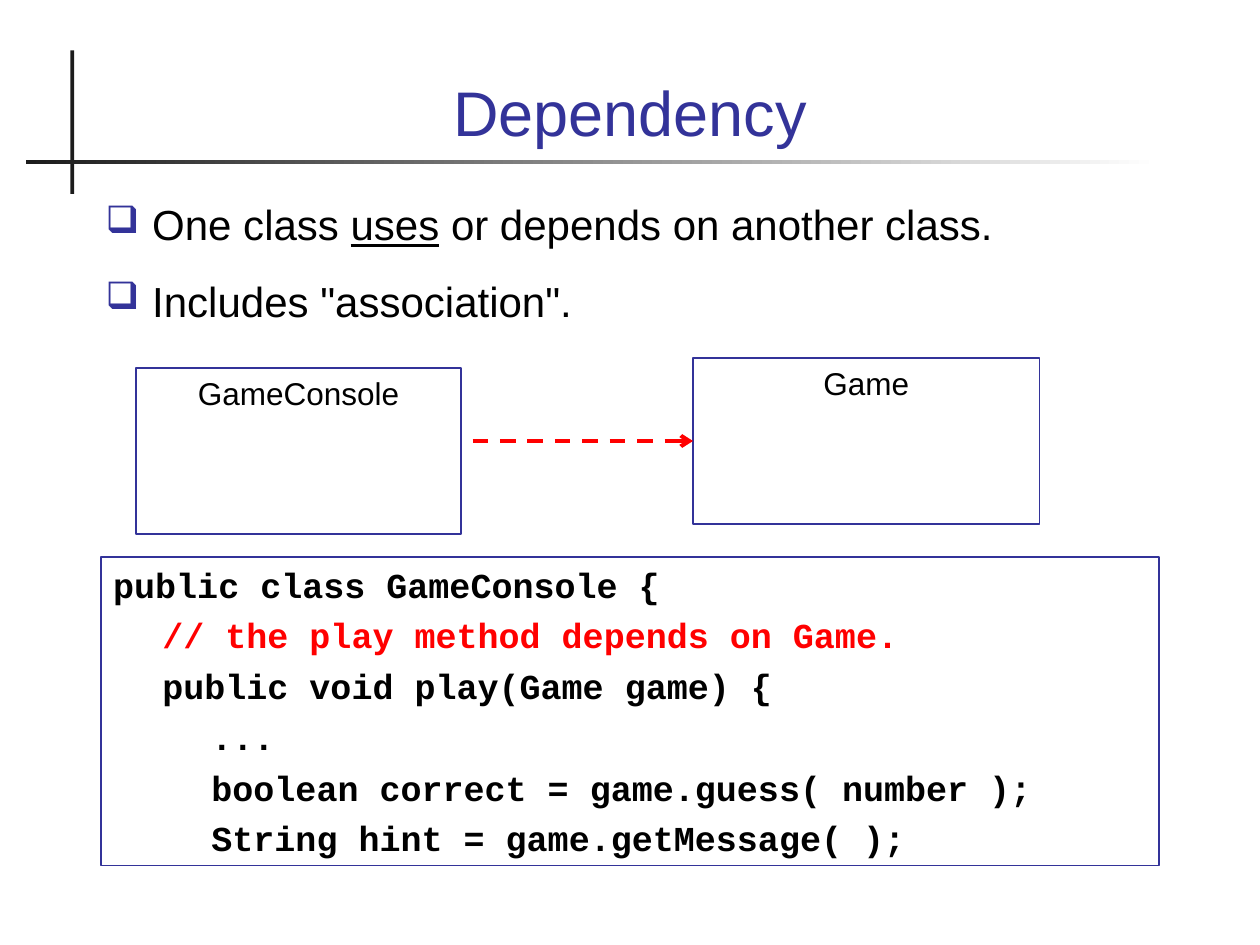
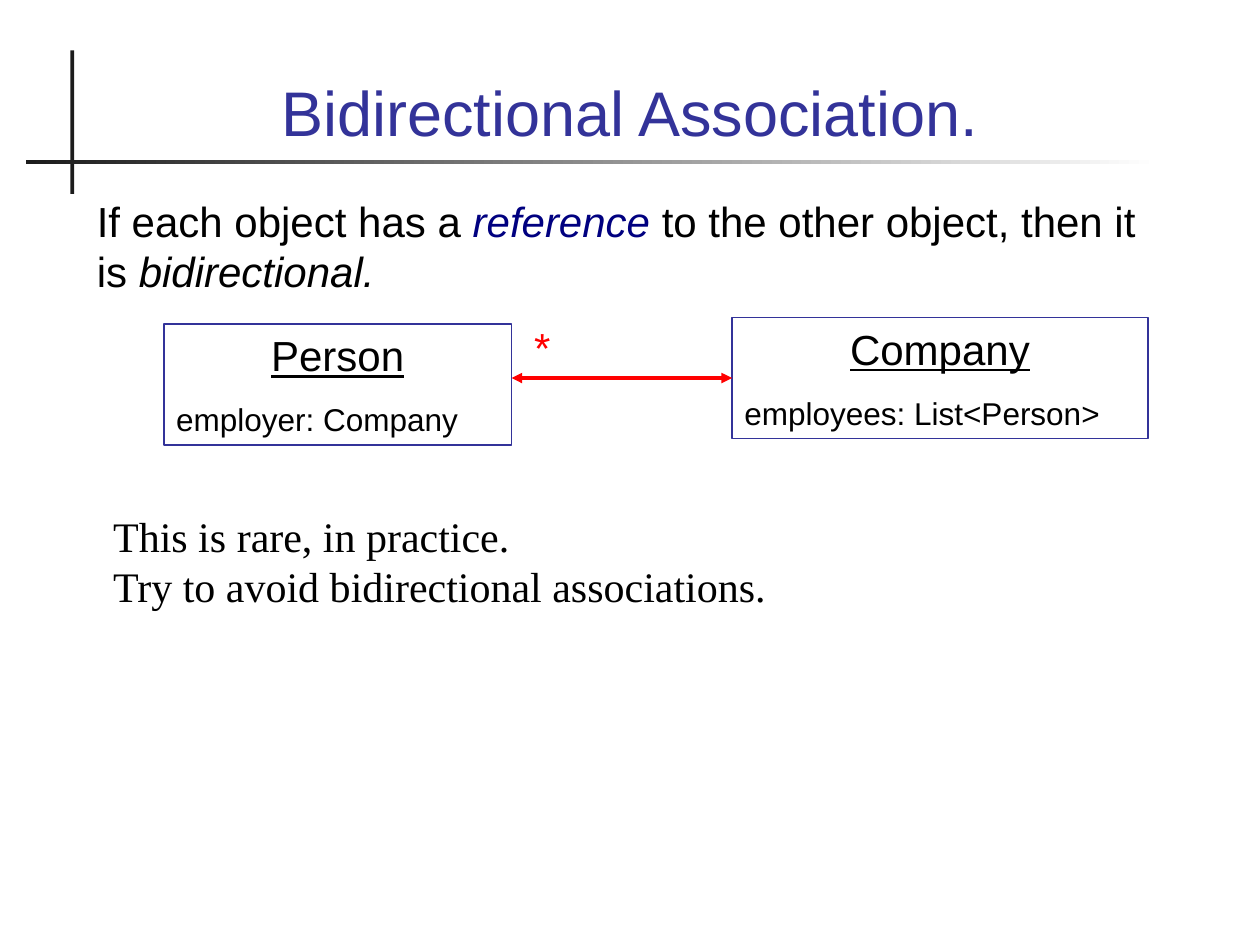
from lxml import etree
from pptx import Presentation
from pptx.dml.color import RGBColor
from pptx.enum.dml import MSO_LINE
from pptx.enum.shapes import MSO_CONNECTOR, MSO_SHAPE
from pptx.enum.text import MSO_ANCHOR, PP_ALIGN
from pptx.oxml.ns import qn
from pptx.util import Inches, Pt

RECT = MSO_SHAPE.RECTANGLE
STRAIGHT = MSO_CONNECTOR.STRAIGHT
DASH = MSO_LINE.DASH
TOP, BOTTOM = MSO_ANCHOR.TOP, MSO_ANCHOR.BOTTOM
LEFT, CENTER = PP_ALIGN.LEFT, PP_ALIGN.CENTER

BLUE, NAVY, RED = "333399", "000080", "FF0000"
BLACK, DARK, WHITE = "000000", "1C1C1C", "FFFFFF"
TAB = 0.39

HEAD = {"name": "Arial", "size": Pt(36), "color": BLUE}
BODY = {"name": "Arial", "size": Pt(24), "color": BLACK}
LABEL = BODY | {"size": Pt(18)}
UNDER = BODY | {"underline": True}
SLANT = BODY | {"italic": True}
CODE = {"name": "Courier New", "size": Pt(20), "bold": True, "color": BLACK}
NOTE = BODY | {"name": "Times New Roman"}


def rgb(code):
    """Turn a hex string into a colour."""
    return RGBColor.from_string(code)


def add(parent, tag, **attrs):
    """Append a drawing element to a parent."""
    return etree.SubElement(parent, qn(tag), attrs)


def write(frame, lines, gap=0, anchor=TOP, bullet=False, tabs=0):
    """Fill a frame with lines of (alignment, [(text, style), ...])."""
    frame.word_wrap = True
    frame.vertical_anchor = anchor
    for i, (align, runs) in enumerate(lines):
        para = frame.paragraphs[0] if i == 0 else frame.add_paragraph()
        para.alignment = align
        para.space_before = Pt(gap if i else 0)
        if bullet:
            mark(para)
        if tabs:
            stops = add(para._p.get_or_add_pPr(), "a:tabLst")
            for n in range(1, tabs + 1):
                add(stops, "a:tab", pos=str(Inches(n * TAB)), algn="l")
        for text, style in runs:
            run = para.add_run()
            run.text = text
            for key, value in style.items():
                if key == "color":
                    run.font.color.rgb = rgb(value)
                else:
                    setattr(run.font, key, value)


def mark(para):
    """Give a paragraph the square bullet and hanging indent."""
    props = para._p.get_or_add_pPr()
    props.set("marL", str(Inches(0.37)))
    props.set("indent", str(Inches(-0.37)))
    add(add(props, "a:buClr"), "a:srgbClr", val=BLUE)
    add(props, "a:buSzPct", val="90000")
    add(props, "a:buChar", char="❑")


def text(slide, box, lines, **rules):
    """Place a plain text box."""
    shape = slide.shapes.add_textbox(*map(Inches, box))
    write(shape.text_frame, lines, **rules)


def panel(slide, box, lines, **rules):
    """Place an outlined box holding text."""
    shape = slide.shapes.add_shape(RECT, *map(Inches, box))
    shape.shadow.inherit = False
    shape.fill.background()
    shape.line.color.rgb = rgb(BLUE)
    shape.line.width = Pt(1)
    write(shape.text_frame, lines, **rules)
    return shape


def bar(slide, box):
    """Place a thin dark bar and return its fill."""
    shape = slide.shapes.add_shape(RECT, *map(Inches, box))
    shape.shadow.inherit = False
    shape.line.fill.background()
    shape.fill.solid()
    shape.fill.fore_color.rgb = rgb(DARK)
    return shape.fill


def arrow(slide, start, goal, width, tips, dash=None):
    """Draw a red arrow from a point to the left side of a box."""
    x, y = map(Inches, start)
    link = slide.shapes.add_connector(STRAIGHT, x, y, goal.left, y)
    link.end_connect(goal, 1)
    link.line.color.rgb = rgb(RED)
    link.line.width = Pt(width)
    if dash:
        link.line.dash_style = dash
    for end, kind in tips.items():
        add(link.line._get_or_add_ln(), f"a:{end}", type=kind)
    add(link._element.spPr, "a:effectLst")


def start(deck, title):
    """Add a slide with the crossed bars and its title."""
    slide = deck.slides.add_slide(deck.slide_layouts[6])
    bar(slide, (0.56, 0.4, 0.03, 1.14))
    fade = bar(slide, (0.21, 1.27, 8.99, 0.03))
    fade.gradient()
    fade.gradient_angle = 180
    for stop, code in zip(fade.gradient_stops, (WHITE, DARK)):
        stop.color.rgb = rgb(code)
    text(slide, (0.67, 0.28, 8.66, 0.95), [(CENTER, [(title, HEAD)])],
         anchor=BOTTOM)
    return slide


def record(slide, box, name, field):
    """Draw a class box with an underlined name and one field."""
    return panel(slide, box, [(CENTER, [(name, UNDER)]),
                              (LEFT, [(field, LABEL)])], gap=11.2)


def depend(deck):
    """Build the dependency slide."""
    slide = start(deck, "Dependency")
    text(slide, (0.74, 1.53, 8.66, 1.39), [
        (LEFT, [("One class ", BODY), ("uses", UNDER),
                (" or depends on another class.", BODY)]),
        (LEFT, [('Includes "association".', BODY)]),
    ], gap=15, bullet=True)
    panel(slide, (1.08, 2.92, 2.58, 1.32), [(CENTER, [("GameConsole", LABEL)])])
    game = panel(slide, (5.5, 2.84, 2.75, 1.32), [(CENTER, [("Game", LABEL)])])
    arrow(slide, (3.75, 3.5), game, 2.25, {"tailEnd": "arrow"}, DASH)
    code = [
        ("public class GameConsole {", CODE),
        ("\t// the play method depends on Game.", CODE | {"color": RED}),
        ("\tpublic void play(Game game) {", CODE),
        ("\t\t...", CODE),
        ("\t\tboolean correct = game.guess( number );", CODE),
        ("\t\tString hint = game.getMessage( );", CODE),
    ]
    panel(slide, (0.8, 4.42, 8.4, 2.45), [(LEFT, [line]) for line in code],
          gap=5, tabs=2)


def mutual(deck):
    """Build the bidirectional association slide."""
    slide = start(deck, "Bidirectional Association.")
    text(slide, (0.67, 1.5, 8.66, 1), [(LEFT, [
        ("If each object has a ", BODY),
        ("reference", SLANT | {"color": NAVY}),
        (" to the other object, then it is ", BODY),
        ("bidirectional.", SLANT),
    ])])
    record(slide, (1.3, 2.57, 2.76, 0.96), "Person", "employer: Company")
    firm = record(slide, (5.81, 2.52, 3.3, 0.96), "Company",
                  "employees: List<Person>")
    arrow(slide, (4.06, 3), firm, 2,
          {"headEnd": "triangle", "tailEnd": "triangle"})
    text(slide, (4.14, 2.5, 0.83, 0.5), [(LEFT, [("*", BODY | {"color": RED})])])
    notes = ["This is rare, in practice.",
             "Try to avoid bidirectional associations."]
    text(slide, (0.8, 4, 8.4, 0.9), [(LEFT, [(note, NOTE)]) for note in notes])


def main():
    """Build and save the deck."""
    deck = Presentation()
    deck.slide_width, deck.slide_height = Inches(10), Inches(7.5)
    depend(deck)
    mutual(deck)
    deck.save("out.pptx")


if __name__ == "__main__":
    main()
